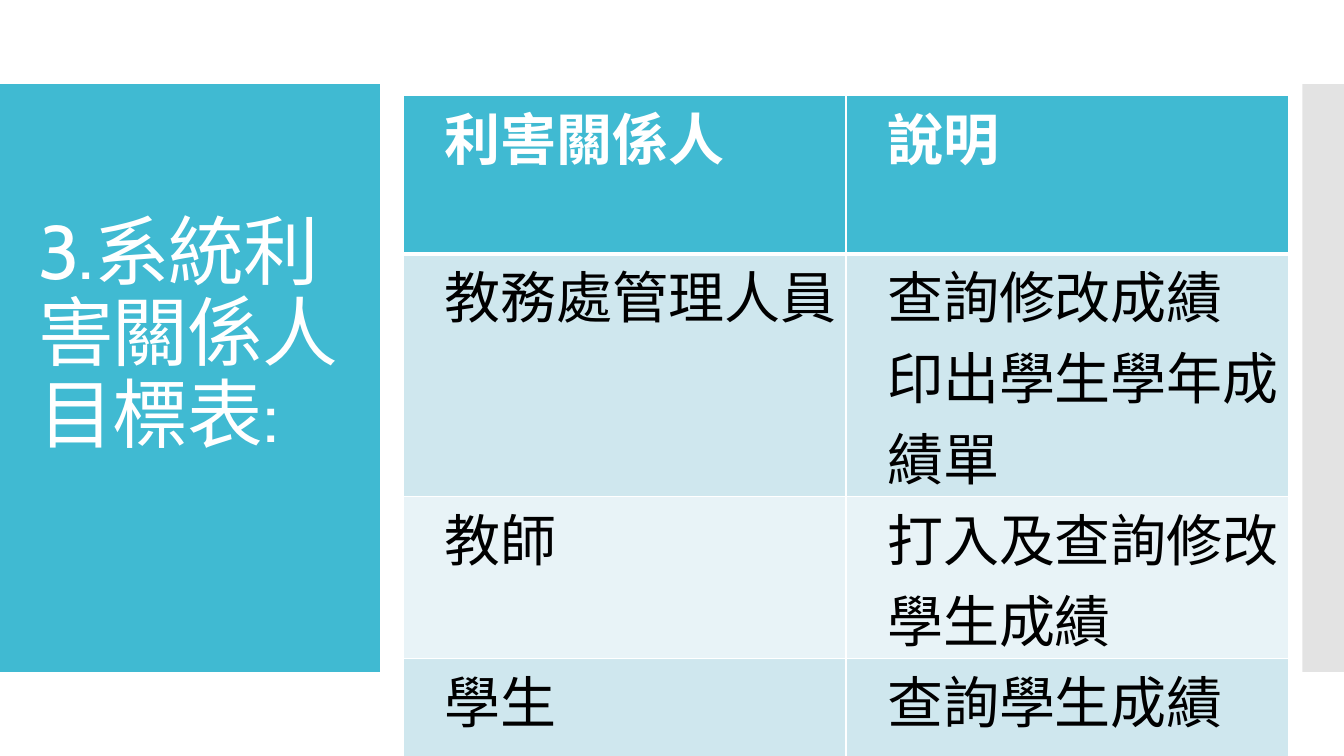
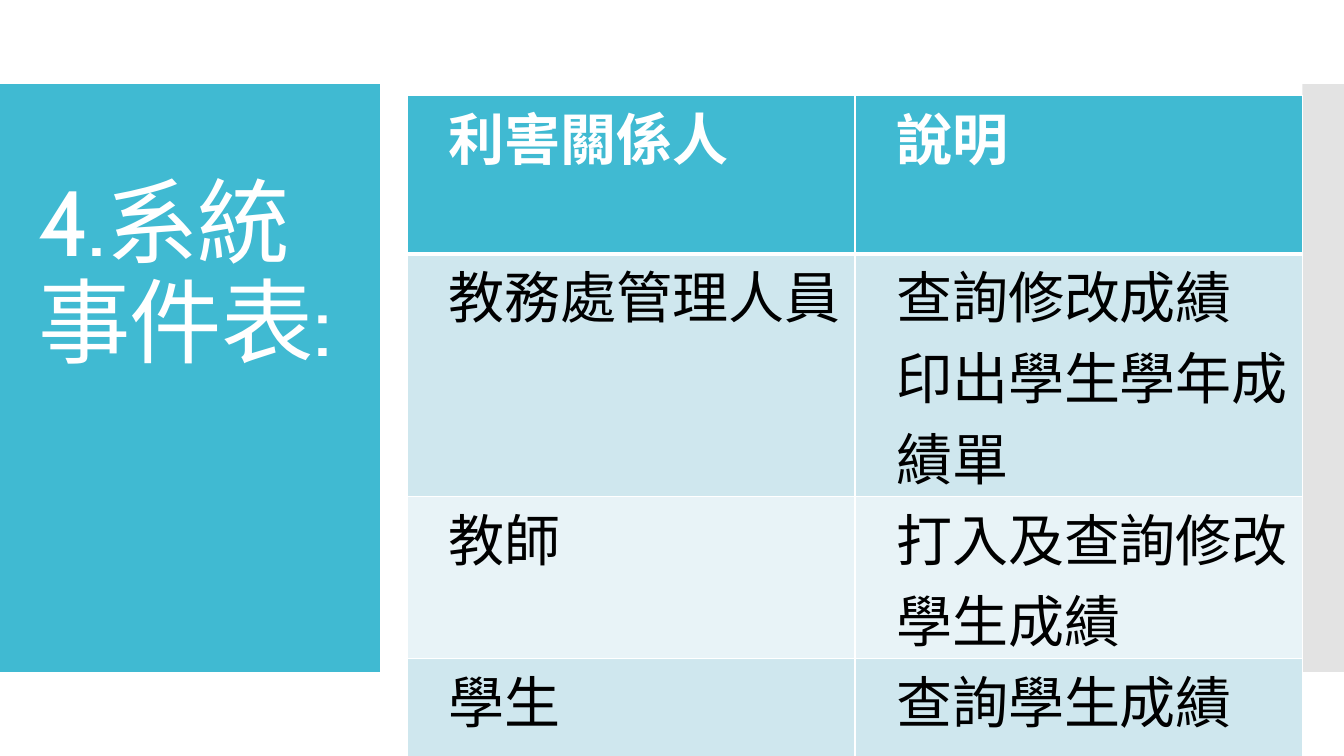
from dataclasses import dataclass

from lxml import etree
from pptx import Presentation
from pptx import util as u
from pptx.dml.color import RGBColor
from pptx.enum import shapes, text
from pptx.oxml.ns import qn


@dataclass(frozen=True)
class Theme:
    """Colours, fonts and type sizes."""
    accent: str = "40BAD2"
    strip: str = "C8C8C8"
    white: str = "FFFFFF"
    black: str = "000000"
    bands: tuple = ("CFE7EE", "E8F3F7")
    title_font: str = "Cabin"
    body_font: str = "Calibri"
    body_size: int = 40
    line_spacing: float = 0.9
    line_pitch: float = 1.09


class Deck:
    """Draws elements on the current slide in one style."""

    def __init__(self, theme):
        """Start an empty widescreen deck."""
        self.theme = theme
        self.prs = Presentation()
        self.prs.slide_width, self.prs.slide_height = u.Pt(960), u.Pt(540)

    def slide(self, title, size, lines_below):
        """Add a slide with its side bands and title."""
        self.s = self.prs.slides.add_slide(self.prs.slide_layouts[5])
        self.band(0, 271.3, self.theme.accent)
        self.band(930.4, 29.6, self.theme.strip, 50)
        self.title(title, size, lines_below)

    def band(self, left, width, color, opacity=100):
        """Add a vertical band behind the title."""
        sp = self.s.shapes.add_shape(shapes.MSO_SHAPE.RECTANGLE, u.Pt(left),
                                     u.Pt(60), u.Pt(width), u.Pt(420))
        sp.shadow.inherit = False
        sp.fill.solid()
        sp.fill.fore_color.rgb = RGBColor.from_string(color)
        sp.line.fill.background()
        if opacity < 100:
            clr = sp.element.spPr.find(".//" + qn("a:srgbClr"))
            etree.SubElement(clr, qn("a:alpha"), val=str(opacity * 1000))
        self.s.shapes.title.element.addprevious(sp.element)

    def title(self, words, size, lines_below):
        """Format the title, raised by the room kept below it."""
        t = self.theme
        sp = self.s.shapes.title
        sp.left, sp.top, sp.width, sp.height = map(u.Pt, (20, 88.6, 232, 362))
        tf = sp.text_frame
        tf.word_wrap = True
        tf.auto_size = text.MSO_AUTO_SIZE.NONE
        tf.vertical_anchor = text.MSO_ANCHOR.MIDDLE
        tf.margin_bottom = u.Pt(3.6 + lines_below * size * t.line_pitch)
        p = tf.paragraphs[0]
        p.alignment = text.PP_ALIGN.LEFT
        p.line_spacing = t.line_spacing
        r = self.run(p, words, t.title_font, size, t.white)
        rPr = r.font._element
        rPr.set("spc", "-60")
        etree.SubElement(rPr, qn("a:ea"), typeface=t.title_font)

    def run(self, p, words, font, size, color, bold=False):
        """Add one run of text."""
        r = p.add_run()
        r.text = words
        f = r.font
        f.name, f.size, f.bold = font, u.Pt(size), bold
        f.color.rgb = RGBColor.from_string(color)
        f._element.set("lang", "zh-TW")
        return r

    def table(self, left, width, rows):
        """Add a table with a header and banded rows."""
        frame = self.s.shapes.add_table(len(rows), len(rows[0]), u.Pt(left),
                                        u.Pt(68), u.Pt(width), u.Pt(453))
        for i, row in enumerate(rows):
            for j, words in enumerate(row):
                self.cell(frame.table.cell(i, j), i, words)

    def cell(self, cell, row, words):
        """Fill one cell with its borders, colour and paragraphs."""
        t, header = self.theme, row == 0
        self.borders(cell, top=3 if row == 1 else 1, bottom=3 if header else 1)
        cell.fill.solid()
        fill = t.accent if header else t.bands[(row - 1) % 2]
        cell.fill.fore_color.rgb = RGBColor.from_string(fill)
        cell.margin_left = cell.margin_right = u.Pt(5.4)
        cell.margin_top = cell.margin_bottom = 0
        tf = cell.text_frame
        for k, line in enumerate(words.split("\n")):
            p = tf.add_paragraph() if k else tf.paragraphs[0]
            p._p.get_or_add_pPr().set("marL", str(u.Pt(24)))
            self.run(p, line, t.body_font, t.body_size,
                     t.white if header else t.black, header)

    def borders(self, cell, top, bottom):
        """Draw the four borders of a cell."""
        tcPr = cell._tc.get_or_add_tcPr()
        for side, weight in zip("LRTB", (1, 1, top, bottom)):
            ln = etree.SubElement(tcPr, qn("a:ln" + side), w=str(u.Pt(weight)))
            fill = etree.SubElement(ln, qn("a:solidFill"))
            etree.SubElement(fill, qn("a:srgbClr"), val=self.theme.white)


STAKEHOLDERS = [
    ("利害關係人", "說明"),
    ("教務處管理人員", "查詢修改成績\n印出學生學年成績單"),
    ("教師", "打入及查詢修改學生成績"),
    ("學生", "查詢學生成績"),
]

deck = Deck(Theme())
deck.slide("3.系統利害關係人目標表:", 54, lines_below=1)
deck.table(288.3, 632, STAKEHOLDERS)
deck.slide("4.系統事件表:", 66, lines_below=2)
deck.table(291.2, 639.2, STAKEHOLDERS)
deck.prs.save("out.pptx")
